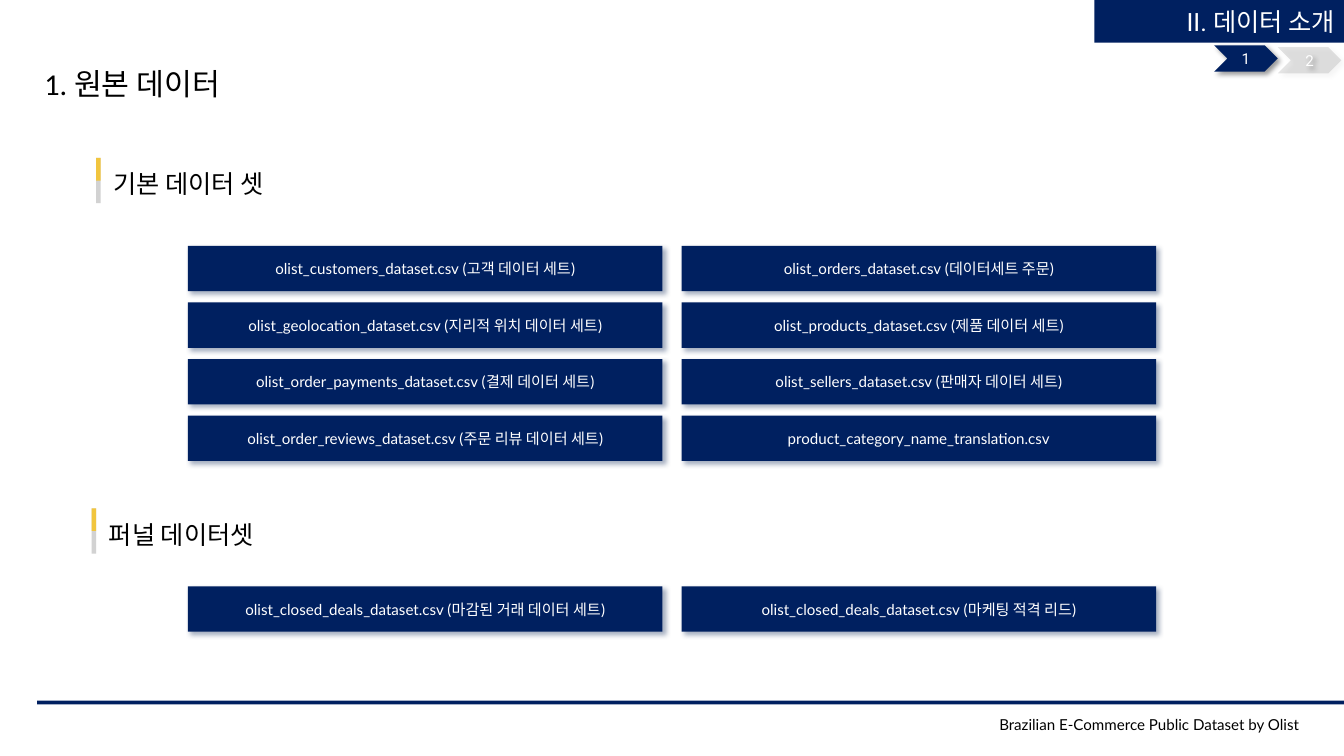
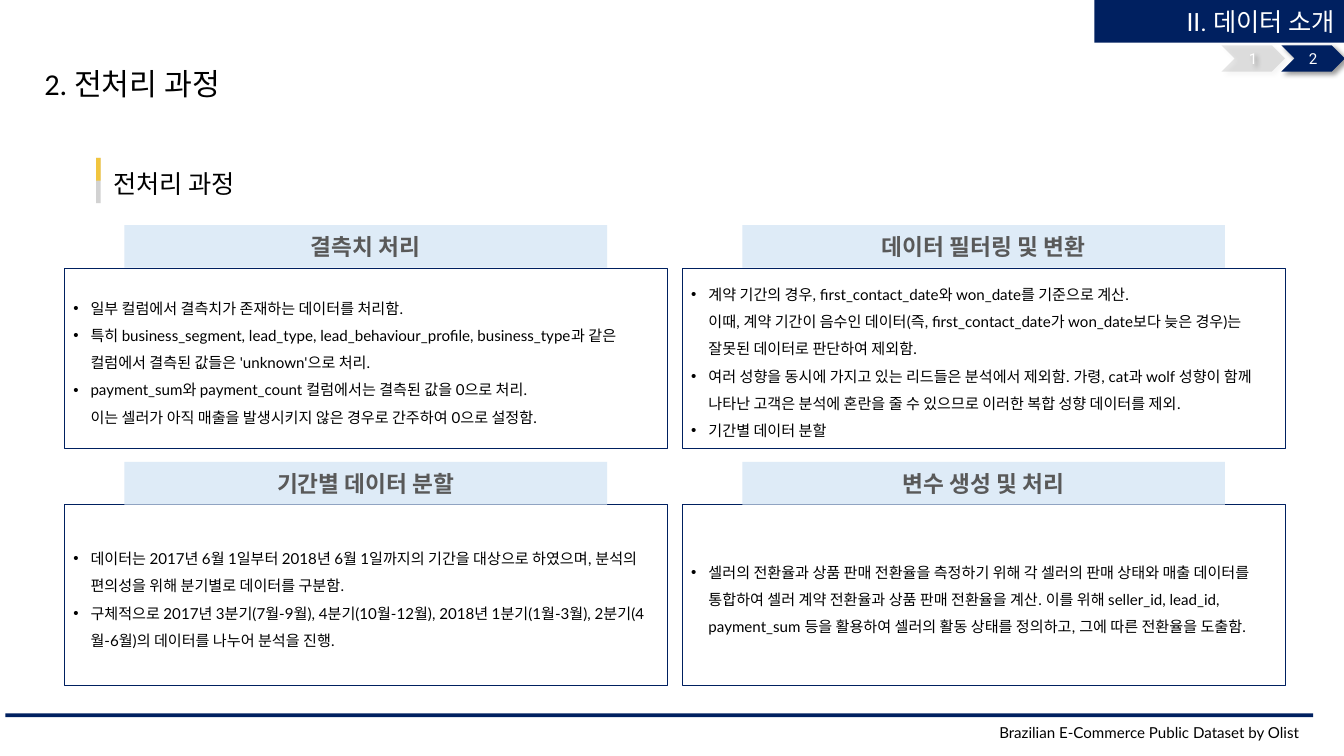
import copy

import pptx
import pptx.dml.color
import pptx.enum.shapes
import pptx.enum.text
import pptx.oxml
import pptx.oxml.ns
import pptx.util

RGBColor = pptx.dml.color.RGBColor
NAVY = RGBColor(0x00, 0x20, 0x60)
SHADOW_NAVY = RGBColor(0x20, 0x38, 0x64)
PALE_BLUE = RGBColor(0xDE, 0xEB, 0xF7)
GOLD = RGBColor(0xFF, 0xC0, 0x00)
SILVER = RGBColor(0xBF, 0xBF, 0xBF)
GRAY = RGBColor(0x59, 0x59, 0x59)
BLACK = RGBColor(0x00, 0x00, 0x00)
WHITE = RGBColor(0xFF, 0xFF, 0xFF)

ALIGN = pptx.enum.text.PP_ALIGN
ANCHOR = pptx.enum.text.MSO_ANCHOR
SHAPE = pptx.enum.shapes.MSO_SHAPE
DRAWING_NS = pptx.oxml.ns.nsdecls("a")

CHAPTER = "II. 데이터 소개"
SOURCE = "Brazilian E-Commerce Public Dataset by Olist"

BASIC_DATASETS = [
    ("olist_customers_dataset.csv (고객 데이터 세트)",
     "olist_orders_dataset.csv (데이터세트 주문)"),
    ("olist_geolocation_dataset.csv (지리적 위치 데이터 세트)",
     "olist_products_dataset.csv (제품 데이터 세트)"),
    ("olist_order_payments_dataset.csv (결제 데이터 세트)",
     "olist_sellers_dataset.csv (판매자 데이터 세트)"),
    ("olist_order_reviews_dataset.csv (주문 리뷰 데이터 세트)",
     "product_category_name_translation.csv"),
]
FUNNEL_DATASETS = [
    ("olist_closed_deals_dataset.csv (마감된 거래 데이터 세트)",
     "olist_closed_deals_dataset.csv (마케팅 적격 리드)"),
]
PREPROCESSING = [
    ("결측치 처리", [
        "일부 컬럼에서 결측치가 존재하는 데이터를 처리함.",
        "특히 business_segment, lead_type, lead_behaviour_profile, business_type과 같은 "
        "컬럼에서 결측된 값들은 'unknown'으로 처리.",
        "payment_sum와 payment_count 컬럼에서는 결측된 값을 0으로 처리.\n"
        "이는 셀러가 아직 매출을 발생시키지 않은 경우로 간주하여 0으로 설정함.",
    ]),
    ("데이터 필터링 및 변환", [
        "계약 기간의 경우, first_contact_date와 won_date를 기준으로 계산.\n"
        "이때, 계약 기간이 음수인 데이터(즉, first_contact_date가 won_date보다 늦은 경우)는 "
        "잘못된 데이터로 판단하여 제외함.",
        "여러 성향을 동시에 가지고 있는 리드들은 분석에서 제외함. 가령, cat과 wolf 성향이 "
        "함께 나타난 고객은 분석에 혼란을 줄 수 있으므로 이러한 복합 성향 데이터를 제외.",
        "기간별 데이터 분할",
    ]),
    ("기간별 데이터 분할", [
        "데이터는 2017년 6월 1일부터 2018년 6월 1일까지의 기간을 대상으로 하였으며, "
        "분석의 편의성을 위해 분기별로 데이터를 구분함.",
        "구체적으로 2017년 3분기(7월-9월), 4분기(10월-12월), 2018년 1분기(1월-3월), "
        "2분기(4월-6월)의 데이터를 나누어 분석을 진행.",
    ]),
    ("변수 생성 및 처리", [
        "셀러의 전환율과 상품 판매 전환율을 측정하기 위해 각 셀러의 판매 상태와 매출 데이터를 "
        "통합하여 셀러 계약 전환율과 상품 판매 전환율을 계산. 이를 위해 seller_id, lead_id, "
        "payment_sum 등을 활용하여 셀러의 활동 상태를 정의하고, 그에 따른 전환율을 도출함.",
    ]),
]


def write(shape, *paragraphs, size=12, font="Lato", color=BLACK, bold=False,
          align=ALIGN.LEFT, anchor=ANCHOR.MIDDLE, inset=None, bullet=None, spacing=None):
    """Fill a shape with paragraphs; a newline inside one is a line break."""
    frame = shape.text_frame
    frame.word_wrap = True
    frame.vertical_anchor = anchor
    if inset is not None:
        frame.margin_left = frame.margin_right = pptx.util.Inches(inset)
        frame.margin_top = frame.margin_bottom = pptx.util.Inches(inset)
    for index, text in enumerate(paragraphs):
        paragraph = frame.add_paragraph() if index else frame.paragraphs[0]
        paragraph.text = text
        paragraph.alignment = align
        if spacing:
            paragraph.line_spacing = spacing
        if bullet:
            indent = pptx.util.Inches(0.19)
            properties = paragraph._p.get_or_add_pPr()
            properties.set("marL", str(indent))
            properties.set("indent", str(-indent))
            properties.append(pptx.oxml.parse_xml(
                f'<a:buFont {DRAWING_NS} typeface="Arial"/>'))
            properties.append(pptx.oxml.parse_xml(
                f'<a:buChar {DRAWING_NS} char="{bullet}"/>'))
        for run in paragraph.runs:
            run.font.size = pptx.util.Pt(size)
            run.font.name = font
            run.font.color.rgb = color
            run.font.bold = bold
        for line_break in paragraph._p.findall(pptx.oxml.ns.qn("a:br")):
            line_break.append(copy.deepcopy(paragraph.runs[0]._r.rPr))


class Deck:
    """Style and current slide; lengths are percentages of the slide's width and height."""

    def __init__(self):
        self.presentation = pptx.Presentation()
        self.presentation.slide_width = pptx.util.Inches(14.81)
        self.presentation.slide_height = pptx.util.Inches(8.33)
        self.slide = None

    def place(self, x, y, width, height):
        across = self.presentation.slide_width / 100
        down = self.presentation.slide_height / 100
        return [round(length) for length in (x * across, y * down, width * across, height * down)]

    def block(self, x, y, width, height, fill, kind=SHAPE.RECTANGLE,
              opacity=100, outline=None, shadow=None):
        shape = self.slide.shapes.add_shape(kind, *self.place(x, y, width, height))
        shape.shadow.inherit = False
        shape.fill.solid()
        shape.fill.fore_color.rgb = fill
        if opacity < 100:
            tint = shape._element.spPr.find(".//" + pptx.oxml.ns.qn("a:srgbClr"))
            tint.append(pptx.oxml.parse_xml(f'<a:alpha {DRAWING_NS} val="{opacity * 1000}"/>'))
        if outline is None:
            shape.line.fill.background()
        else:
            shape.line.color.rgb = outline
            shape.line.width = pptx.util.Pt(0.25)
        if shadow is not None:
            effects = shape._element.spPr.find(pptx.oxml.ns.qn("a:effectLst"))
            effects.append(pptx.oxml.parse_xml(
                f'<a:outerShdw {DRAWING_NS} blurRad="{pptx.util.Pt(4)}" dist="{pptx.util.Pt(3)}" '
                f'dir="2700000" algn="tl" rotWithShape="0"><a:srgbClr val="{shadow}">'
                f'<a:alpha val="40000"/></a:srgbClr></a:outerShdw>'))
        return shape

    def label(self, text, x, y, width, height, **style):
        box = self.slide.shapes.add_textbox(*self.place(x, y, width, height))
        write(box, text, **style)

    def new_slide(self, title, rule_x, rule_y, source_y):
        self.slide = self.presentation.slides.add_slide(self.presentation.slide_layouts[6])
        self.block(rule_x, rule_y, 97.3, 0.5, NAVY)
        write(self.block(81.43, 0, 18.57, 5.64, NAVY), CHAPTER,
              size=20, font="Roboto", color=WHITE, align=ALIGN.RIGHT)
        self.label(title, 2.63, 8.04, 50.51, 6, size=24, font="Calibri", anchor=ANCHOR.TOP)
        self.label(SOURCE, 66.91, source_y, 29.78, 5.64, align=ALIGN.RIGHT, inset=0)

    def page_marker(self, number, x, y, active):
        marker = self.block(x, y, 4.73, 3.48, NAVY if active else BLACK, SHAPE.CHEVRON,
                            opacity=100 if active else 10, shadow=BLACK)
        write(marker, str(number), font="Roboto", color=WHITE, align=ALIGN.CENTER)

    def heading(self, text, x, y):
        self.label(text, x + 0.61, y + 0.84, 35.31, 5.28,
                   size=20, font="Roboto", anchor=ANCHOR.TOP)
        self.block(x, y, 0.34, 6, SILVER, opacity=70)
        self.block(x, y, 0.34, 3, GOLD, opacity=70)

    def dataset_grid(self, rows, top):
        for row, names in enumerate(rows):
            for column, name in enumerate(names):
                card = self.block(13.98 + 36.73 * column, top + 7.48 * row, 35.31, 6,
                                  NAVY, shadow=SHADOW_NAVY)
                write(card, name, color=WHITE, align=ALIGN.CENTER, inset=0.05)

    def panel_grid(self, panels):
        for index, (name, steps) in enumerate(panels):
            row, column = divmod(index, 2)
            x, y = 4.79 + 45.98 * column, 35.41 + 31.33 * row
            write(self.block(x, y, 44.83, 23.89, WHITE, outline=NAVY), *steps,
                  bullet="•", spacing=1.5)
            write(self.block(x + 4.46, y - 5.64, 35.92, 5.64, PALE_BLUE), name,
                  size=18, color=GRAY, bold=True, align=ALIGN.CENTER)


def main():
    deck = Deck()

    deck.new_slide("1. 원본 데이터", rule_x=2.77, rule_y=92.68, source_y=93.04)
    deck.page_marker(2, 95.07, 6.24, active=False)
    deck.page_marker(1, 90.34, 6, active=True)
    deck.heading("기본 데이터 셋", 7.16, 20.89)
    deck.dataset_grid(BASIC_DATASETS, 32.53)
    deck.heading("퍼널 데이터셋", 6.82, 67.23)
    deck.dataset_grid(FUNNEL_DATASETS, 77.55)

    deck.new_slide("2. 전처리 과정", rule_x=0.41, rule_y=94.36, source_y=94)
    deck.page_marker(2, 95.34, 6, active=True)
    deck.page_marker(1, 90.88, 6, active=False)
    deck.heading("전처리 과정", 7.16, 20.89)
    deck.panel_grid(PREPROCESSING)

    deck.presentation.save("out.pptx")


if __name__ == "__main__":
    main()
